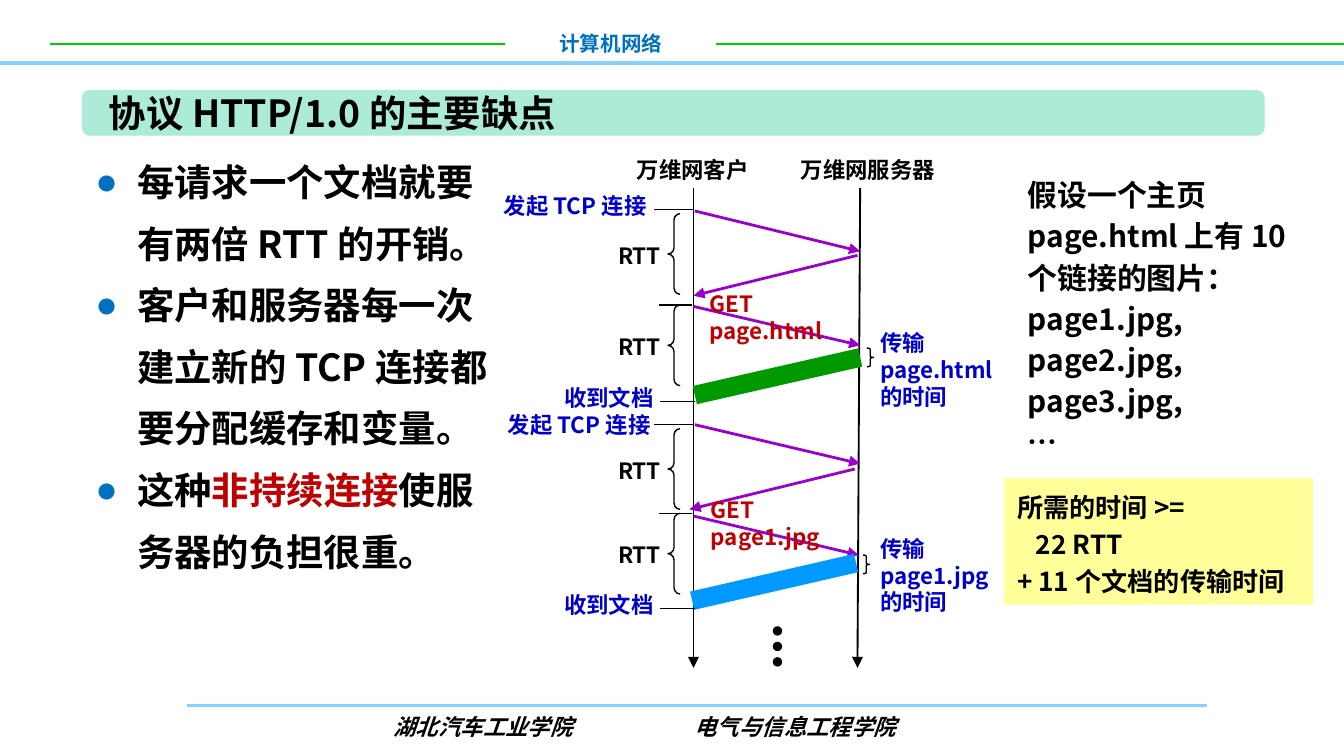
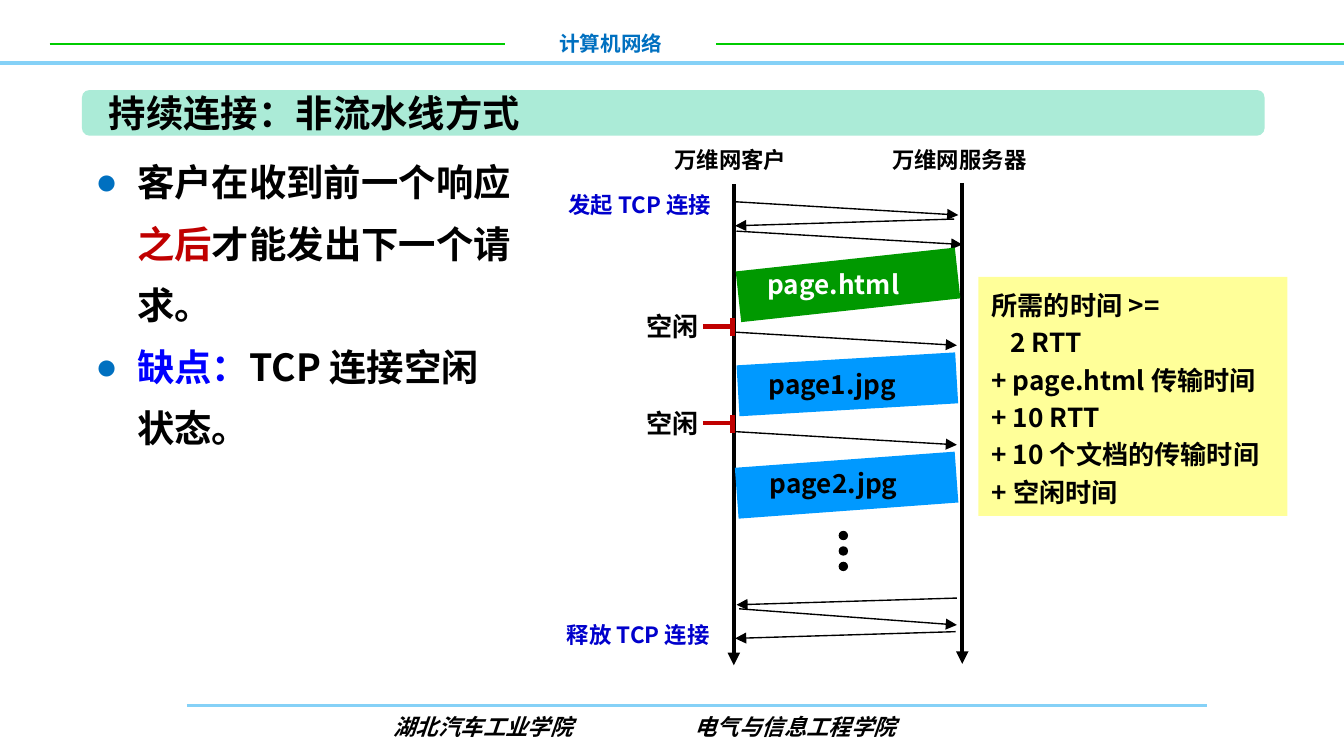
from dataclasses import dataclass

from lxml import etree
from pptx import Presentation
from pptx.dml.color import RGBColor
from pptx.enum import shapes, text
from pptx.oxml import ns
from pptx.util import Inches, Pt


@dataclass(frozen=True)
class Theme:
    font: str = "Noto Sans CJK SC"
    footer_font: str = "Arial"
    black: str = "000000"
    white: str = "FFFFFF"
    sky: str = "85D1F7"
    lime: str = "00CC00"
    mint: str = "ABEBD7"
    heading_blue: str = "0070C0"
    label_blue: str = "0000CC"
    pure_blue: str = "0000FF"
    red: str = "C00000"
    purple: str = "9900CC"
    green: str = "009900"
    block_blue: str = "0099FF"
    yellow: str = "FFFF99"
    header_size: float = 11
    label_size: float = 12
    block_size: float = 14
    aside_size: float = 16
    title_size: float = 20


THEME = Theme()


@dataclass(frozen=True)
class Run:
    text: str
    color: str = THEME.black


@dataclass(frozen=True)
class Style:
    size: float = THEME.label_size
    font: str = THEME.font
    italic: bool = False
    leading: float | None = None
    bullet: bool = False
    centered: bool = False
    tab: float | None = None


@dataclass(frozen=True)
class Box:
    left: float
    top: float
    width: float
    height: float

    def lengths(self) -> list:
        return [Inches(n) for n in (self.left, self.top, self.width, self.height)]


@dataclass(frozen=True)
class Line:
    x1: float
    y1: float
    x2: float
    y2: float
    color: str = THEME.black
    width: float = 0.75
    arrow: bool = False


@dataclass(frozen=True)
class Label:
    text: str
    box: Box
    color: str = THEME.label_blue
    wrap: bool = True


@dataclass(frozen=True)
class Block:
    name: str
    box: Box
    rotation: float
    fill: str
    text_color: str
    text_box: Box


LABEL = Style()
TITLE = Style(size=THEME.title_size)
BULLETS = Style(size=THEME.title_size, leading=33, bullet=True)
ASIDE = Style(size=THEME.aside_size, leading=22)
TIMING = Style(size=THEME.block_size, leading=20)
BLOCK = Style(size=THEME.block_size)
HEADER = Style(size=THEME.header_size, centered=True)
FOOTER = Style(font=THEME.footer_font, italic=True, tab=2.24)


def rgb(color: str) -> RGBColor:
    return RGBColor.from_string(color)


def add_child(parent, tag: str, **attributes: str):
    return etree.SubElement(parent, ns.qn(tag), attributes)


# Text
def write(frame, paragraphs: list[list[Run]], style: Style, wrap: bool = True) -> None:
    frame.word_wrap = wrap
    frame.auto_size = text.MSO_AUTO_SIZE.SHAPE_TO_FIT_TEXT
    frame.vertical_anchor = text.MSO_ANCHOR.TOP
    for index, runs in enumerate(paragraphs):
        paragraph = frame.add_paragraph() if index else frame.paragraphs[0]
        properties = paragraph._p.get_or_add_pPr()
        if style.bullet:
            properties.set("marL", str(Inches(0.31)))
            properties.set("indent", str(-Inches(0.31)))
            color = add_child(properties, "a:buClr")
            add_child(color, "a:srgbClr", val=THEME.heading_blue)
            add_child(properties, "a:buFont", typeface=THEME.footer_font)
            add_child(properties, "a:buChar", char="●")
        if style.tab is not None:
            tabs = add_child(properties, "a:tabLst")
            add_child(tabs, "a:tab", pos=str(Inches(style.tab)), algn="l")
        paragraph.alignment = text.PP_ALIGN.CENTER if style.centered else text.PP_ALIGN.LEFT
        paragraph.space_before = Pt(0)
        if style.leading:
            paragraph.line_spacing = Pt(style.leading)
        for item in runs:
            run = paragraph.add_run()
            run.text = item.text
            font = run.font
            font.size, font.bold, font.italic = Pt(style.size), True, style.italic
            font.color.rgb = rgb(item.color)
            font.name = style.font
            add_child(run._r.get_or_add_rPr(), "a:ea", typeface=THEME.font)


def add_text(slide, box: Box, paragraphs: list[list[Run]], style: Style, wrap: bool = True):
    shape = slide.shapes.add_textbox(*box.lengths())
    write(shape.text_frame, paragraphs, style, wrap)
    return shape


def add_labels(slide, labels: list[Label]) -> None:
    for label in labels:
        paragraphs = [[Run(part, label.color)] for part in label.text.split("\n")]
        add_text(slide, label.box, paragraphs, LABEL, label.wrap)


# Shapes and lines
def add_filled(slide, kind, box: Box, fill: str):
    shape = slide.shapes.add_shape(kind, *box.lengths())
    shape.shadow.inherit = False
    shape.fill.solid()
    shape.fill.fore_color.rgb = rgb(fill)
    shape.line.fill.background()
    return shape


def add_line(slide, line: Line):
    ends = [Inches(n) for n in (line.x1, line.y1, line.x2, line.y2)]
    connector = slide.shapes.add_connector(shapes.MSO_CONNECTOR.STRAIGHT, *ends)
    connector.line.color.rgb = rgb(line.color)
    connector.line.width = Pt(line.width)
    if line.arrow:
        add_child(connector.line._get_or_add_ln(), "a:tailEnd", type="triangle")
    add_child(connector._element.spPr, "a:effectLst")
    return connector


def add_brace(slide, kind, box: Box, curve: float) -> None:
    brace = slide.shapes.add_shape(kind, *box.lengths())
    brace.shadow.inherit = False
    brace.fill.background()
    brace.line.color.rgb = rgb(THEME.black)
    brace.line.width = Pt(0.75)
    brace.adjustments[0] = curve


def add_dots(slide, left: float, top: float) -> None:
    for index in range(3):
        dot = Box(left, top + index * 0.115, 0.07, 0.07)
        add_filled(slide, shapes.MSO_SHAPE.OVAL, dot, THEME.black)


def add_timing(slide, box: Box, rows: list[str], indented_row: int = 1) -> None:
    shape = add_filled(slide, shapes.MSO_SHAPE.RECTANGLE, box, THEME.yellow)
    write(shape.text_frame, [[Run(row)] for row in rows], TIMING)
    properties = shape.text_frame.paragraphs[indented_row]._p.get_or_add_pPr()
    properties.set("marL", str(Inches(0.14)))


def add_party_names(slide, client_left: float, server_left: float, top: float) -> None:
    add_labels(slide, [
        Label("万维网服务器", Box(server_left, top, 1.21, 0.3), THEME.black, False),
        Label("万维网客户", Box(client_left, top, 1.04, 0.3), THEME.black, False),
    ])


# Frame shared by all slides, kept on the layout
def build_layout(layout, slide) -> None:
    for placeholder in list(layout.placeholders):
        if placeholder.placeholder_format.idx >= 10:
            placeholder._element.getparent().remove(placeholder._element)
    course = add_text(slide, Box(3.76, 0.18, 1.57, 0.3),
                      [[Run("计算机网络", THEME.heading_blue)]], HEADER)
    left_rule = add_line(slide, Line(0.37, 0.33, 3.76, 0.33, THEME.lime, 1))
    left_rule.end_connect(course, 1)
    right_rule = add_line(slide, Line(5.33, 0.33, 10, 0.33, THEME.lime, 1))
    right_rule.begin_connect(course, 3)
    band = add_filled(slide, shapes.MSO_SHAPE.ROUNDED_RECTANGLE,
                      Box(0.61, 0.67, 8.8, 0.34), THEME.mint)
    parts = [
        add_line(slide, Line(1.39, 5.25, 8.98, 5.25, THEME.sky, 1.5)),
        add_line(slide, Line(0, 0.47, 10, 0.47, THEME.sky, 2)),
        course, left_rule, right_rule, band,
        add_text(slide, Box(2.83, 5.26, 5.74, 0.3),
                 [[Run("湖北汽车工业学院\t电气与信息工程学院")]], FOOTER),
    ]
    for part in parts:
        layout.shapes._spTree.append(part._element)


def fill_placeholders(slide, title: str, title_width: float, body_box: Box,
                      bullets: list[list[Run]]) -> None:
    body = slide.placeholders[1]
    items = (
        (slide.shapes.title, Box(0.71, 0.62, title_width, 0.44), [[Run(title)]], TITLE, False),
        (body, body_box, bullets, BULLETS, True),
    )
    for shape, box, paragraphs, style, wrap in items:
        shape.left, shape.top, shape.width, shape.height = box.lengths()
        write(shape.text_frame, paragraphs, style, wrap)


def build_drawbacks(slide) -> None:
    fill_placeholders(slide, "协议 HTTP/1.0 的主要缺点", 3.75, Box(0.61, 1.01, 3.26, 3.34), [
        [Run("每请求一个文档就要有两倍 RTT 的开销。")],
        [Run("客户和服务器每一次建立新的 TCP 连接都要分配缓存和变量。")],
        [Run("这种"), Run("非持续连接", THEME.red), Run("使服务器的负担很重。")],
    ])
    add_text(slide, Box(7.55, 1.23, 2.22, 2.26), [
        [Run("假设一个主页page.html 上有 10 个链接的图片：page1.jpg, page2.jpg, page3.jpg,")],
        [Run("…")],
    ], ASIDE)

    # Time axes, messages and transfers
    for x1, x2 in ((5.16, 5.16), (6.4, 6.38)):
        add_line(slide, Line(x1, 1.4, x2, 4.97, width=1, arrow=True))
    messages = (
        (5.17, 1.57, 6.4, 1.87), (6.38, 1.9, 5.16, 2.2), (5.16, 2.28, 6.4, 2.57),
        (5.17, 3.16, 6.4, 3.45), (6.36, 3.49, 5.13, 3.79), (5.16, 3.84, 6.39, 4.13),
    )
    for ends in messages:
        add_line(slide, Line(*ends, THEME.purple, 1.5, True))
    add_line(slide, Line(6.4, 2.66, 5.17, 2.94, THEME.green, 10))
    add_line(slide, Line(6.37, 4.19, 5.15, 4.47, THEME.block_blue, 10))

    # Round-trip braces and ticks
    for top in (1.59, 2.27, 3.19, 3.82):
        add_brace(slide, shapes.MSO_SHAPE.LEFT_BRACE, Box(4.97, top, 0.09, 0.6), 0.52)
        add_labels(slide, [Label("RTT", Box(4.5, top + 0.16, 0.58, 0.33), THEME.black, False)])
    for left, top in ((6.45, 2.59), (6.42, 4.13)):
        add_brace(slide, shapes.MSO_SHAPE.RIGHT_BRACE, Box(left, top, 0.05, 0.14), 0.2)
    ticks = ((4.87, 1.56, 5.16), (4.9, 2.27, 5.15), (4.91, 2.99, 5.17),
             (4.87, 3.16, 5.16), (4.9, 3.82, 5.15), (4.91, 4.53, 5.17))
    for left, y, right in ticks:
        add_line(slide, Line(left, y, right, y))

    # Labels
    add_labels(slide, [
        Label("发起 TCP 连接", Box(3.65, 1.38, 1.3, 0.3)),
        Label("GET page.html", Box(5.18, 2.11, 1.2, 0.5), THEME.red),
        Label("收到文档", Box(4.1, 2.81, 0.87, 0.3)),
        Label("传输 page.html 的时间", Box(6.45, 2.4, 1.13, 0.71)),
        Label("发起 TCP 连接", Box(3.68, 3.01, 1.3, 0.3)),
        Label("GET page1.jpg", Box(5.19, 3.64, 1.18, 0.5), THEME.red),
        Label("收到文档", Box(4.1, 4.35, 0.87, 0.3)),
        Label("传输 page1.jpg\n的时间", Box(6.45, 3.93, 1.1, 0.71)),
    ])
    add_dots(slide, 5.75, 4.66)
    add_party_names(slide, 4.64, 5.86, 1.11)
    add_timing(slide, Box(7.47, 3.56, 2.3, 0.94),
               ["所需的时间 >=", "22 RTT", "+ 11 个文档的传输时间"])


def build_persistent(slide) -> None:
    fill_placeholders(slide, "持续连接：非流水线方式", 3.37, Box(0.61, 1.01, 3.33, 2.42), [
        [Run("客户在收到前一个响应"), Run("之后", THEME.red), Run("才能发出下一个请求。")],
        [Run("缺点：", THEME.pure_blue), Run("TCP 连接空闲状态。")],
    ])

    # Time axes and messages
    for x, top in ((5.46, 1.37), (7.16, 1.36)):
        add_line(slide, Line(x, top, x, top + 3.58, width=2.25, arrow=True))
    add_party_names(slide, 4.92, 6.54, 1.04)
    messages = (
        (5.45, 1.5, 7.13, 1.6), (7.1, 1.63, 5.47, 1.68), (5.48, 1.72, 7.16, 1.82),
        (7.12, 4.45, 5.48, 4.5), (5.5, 4.53, 7.12, 4.65), (7.11, 4.7, 5.47, 4.75),
    )
    for ends in messages:
        add_line(slide, Line(*ends, arrow=True))
    add_labels(slide, [
        Label("发起 TCP 连接", Box(4.13, 1.37, 1.37, 0.3)),
        Label("释放 TCP 连接", Box(4.12, 4.57, 1.37, 0.3)),
    ])

    # Transferred files
    blocks = [
        Block("page.html", Box(5.49, 1.93, 1.64, 0.38), -6.2, THEME.green, THEME.white,
              Box(5.61, 1.95, 1.39, 0.34)),
        Block("page1.jpg", Box(5.49, 2.67, 1.63, 0.38), -3.4, THEME.block_blue, THEME.black,
              Box(5.62, 2.69, 1.36, 0.34)),
        Block("page2.jpg", Box(5.48, 3.42, 1.64, 0.38), -4.2, THEME.block_blue, THEME.black,
              Box(5.63, 3.43, 1.4, 0.34)),
    ]
    for block in blocks:
        shape = add_filled(slide, shapes.MSO_SHAPE.RECTANGLE, block.box, block.fill)
        shape.rotation = block.rotation
        add_text(slide, block.text_box, [[Run(block.name, block.text_color)]], BLOCK)

    # Idle periods, each followed by a request
    for idle, request in ((2.43, 2.47), (3.15, 3.21)):
        add_text(slide, Box(4.71, idle - 0.17, 0.66, 0.34), [[Run("空闲")]], BLOCK)
        add_line(slide, Line(5.44, request, 7.12, request + 0.1, arrow=True))
        add_line(slide, Line(5.23, idle, 5.44, idle, THEME.red, 2.25))
        add_line(slide, Line(5.45, idle + 0.07, 5.45, idle - 0.06, THEME.red, 2.25))
    add_dots(slide, 6.24, 3.95)
    add_timing(slide, Box(7.28, 2.06, 2.3, 1.78), [
        "所需的时间 >=", "2 RTT", "+ page.html 传输时间", "+ 10 RTT",
        "+ 10 个文档的传输时间", "+ 空闲时间",
    ])


def main() -> None:
    presentation = Presentation()
    presentation.slide_width = Inches(10)
    presentation.slide_height = Inches(10 * 9 / 16)
    layout = presentation.slide_layouts[1]
    first, second = (presentation.slides.add_slide(layout) for _ in range(2))
    build_layout(layout, first)
    build_drawbacks(first)
    build_persistent(second)
    presentation.save("out.pptx")


if __name__ == "__main__":
    main()
